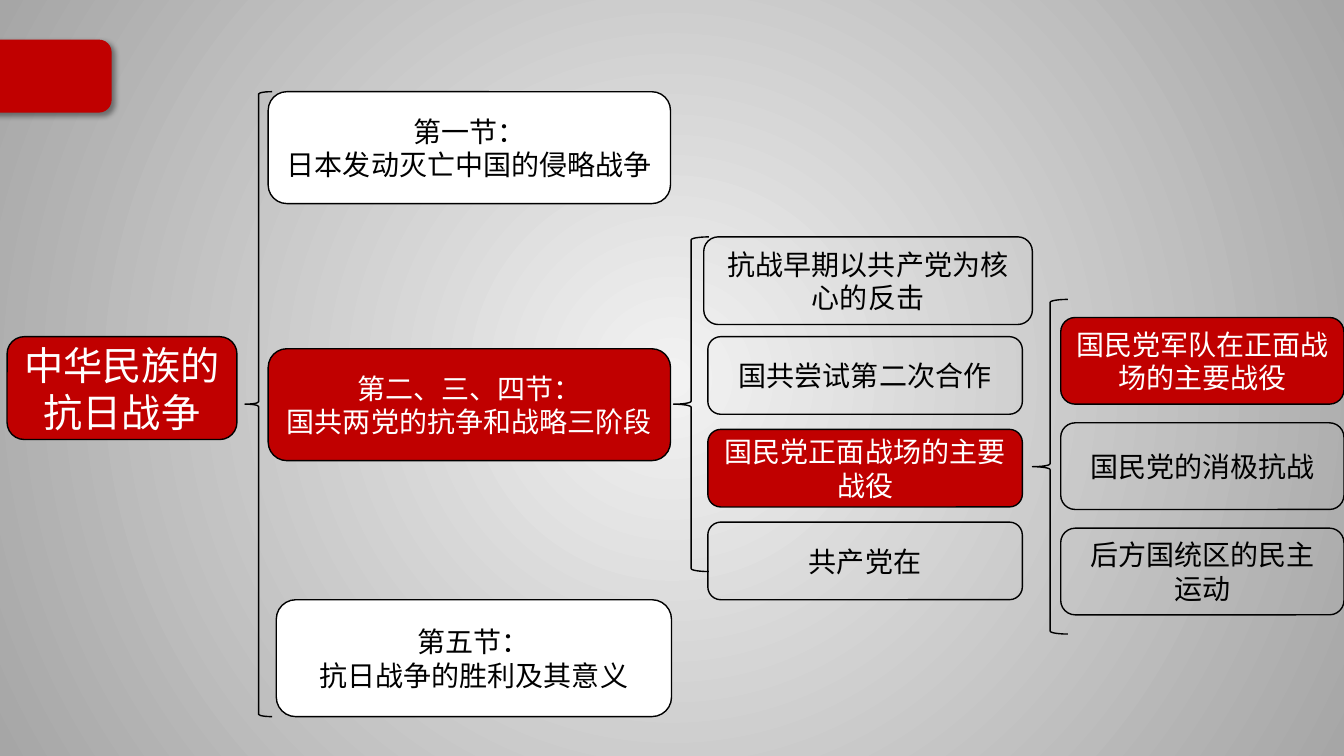
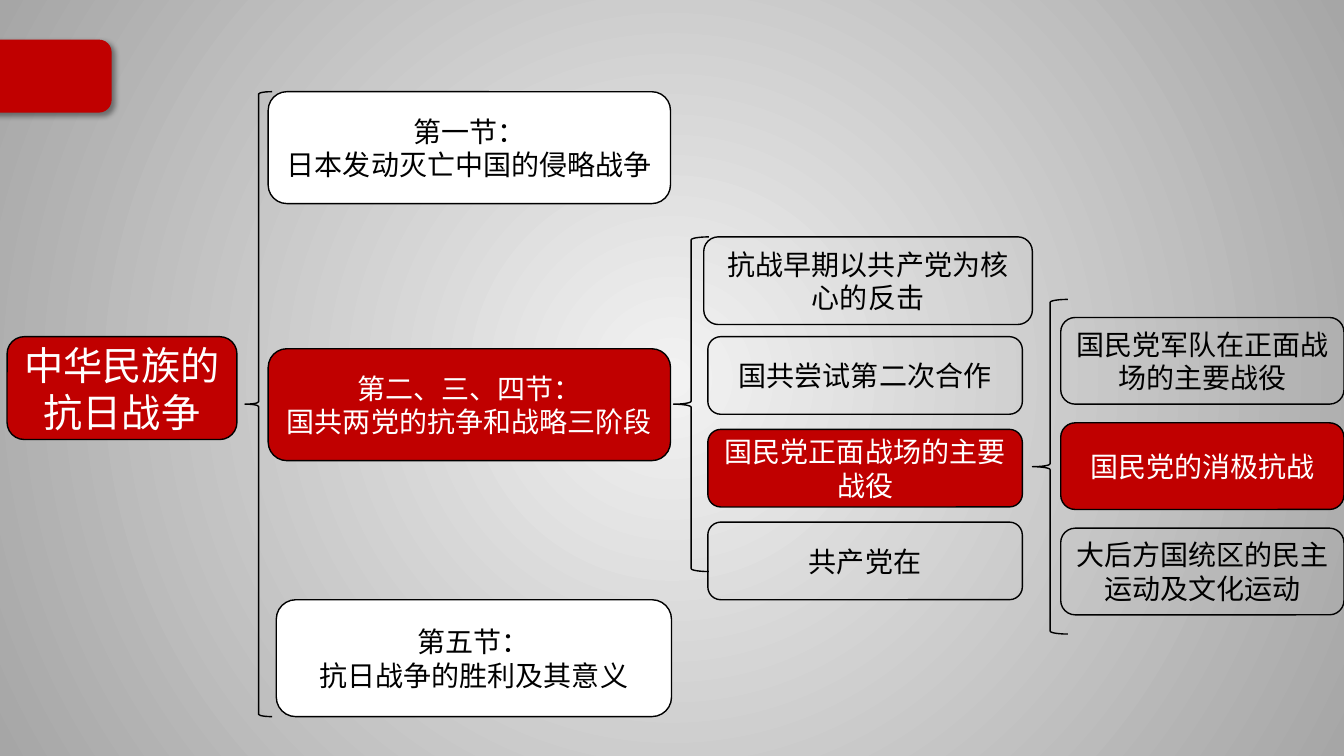
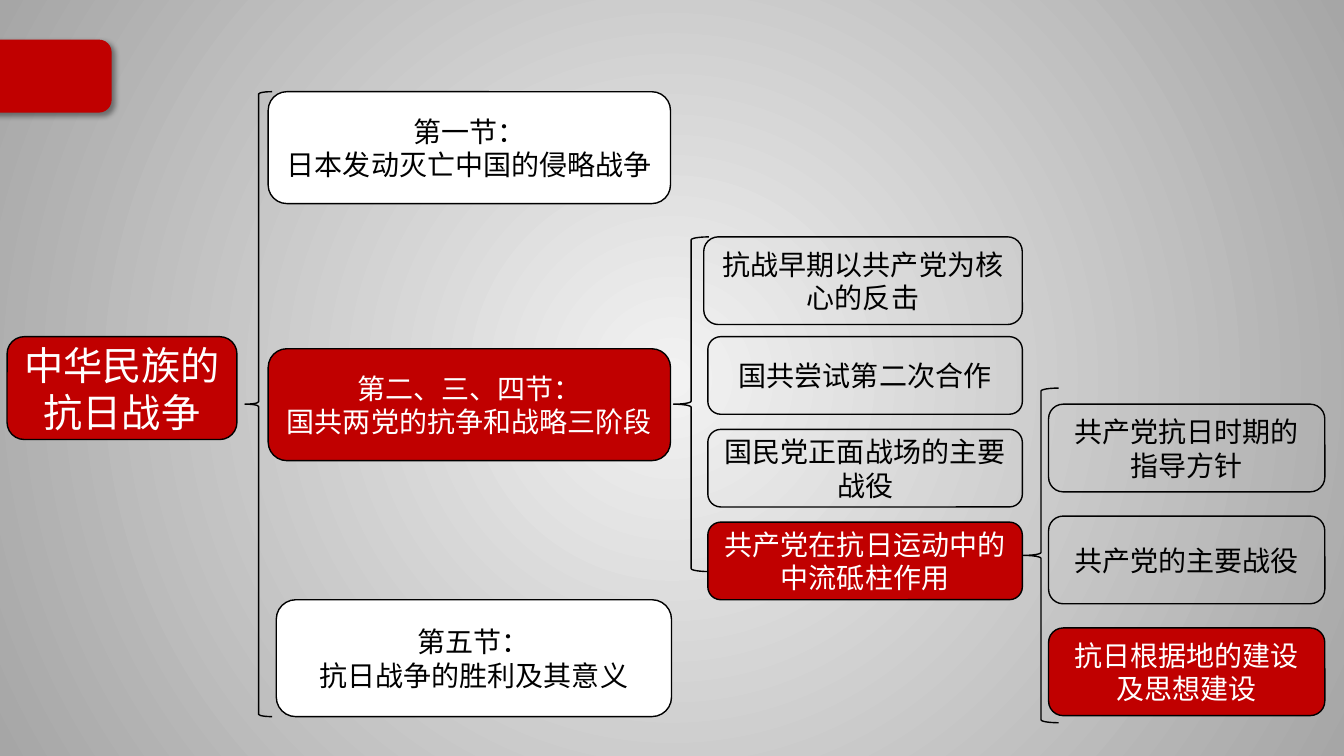
from dataclasses import dataclass

from lxml import etree
from pptx import Presentation
from pptx.dml.color import RGBColor
from pptx.enum.shapes import MSO_SHAPE
from pptx.enum.text import MSO_ANCHOR, PP_ALIGN
from pptx.oxml import parse_xml
from pptx.oxml.ns import nsdecls, qn
from pptx.util import Inches, Pt

ROUNDED = MSO_SHAPE.ROUNDED_RECTANGLE
LEFT_BRACE = MSO_SHAPE.LEFT_BRACE
CENTER = PP_ALIGN.CENTER
MIDDLE = MSO_ANCHOR.MIDDLE
BLANK_LAYOUT = 6


@dataclass(frozen=True)
class Theme:
    red: RGBColor = RGBColor(0xC0, 0x00, 0x00)
    white: RGBColor = RGBColor(0xFF, 0xFF, 0xFF)
    black: RGBColor = RGBColor(0x00, 0x00, 0x00)
    glow: RGBColor = RGBColor(0xF2, 0xF2, 0xF2)
    edge: RGBColor = RGBColor(0xA6, 0xA6, 0xA6)
    font: str = "Noto Sans CJK SC"
    root_size: int = 28
    node_size: int = 20
    line_width: int = 1


@dataclass(frozen=True)
class Branch:
    """The last column of the tree: its brace, its nodes and the active one."""
    brace: tuple
    first_node: tuple
    pitch: float
    texts: tuple
    active: int


THEME = Theme()

# Tree content and geometry: left, top, width, height in inches
ROOT = ("中华民族的抗日战争", (0.07, 3.34, 2.28, 1.02))
SECTIONS = (
    ("第一节：\n日本发动灭亡中国的侵略战争", (2.66, 0.91, 3.99, 1.11), THEME.white),
    ("第二、三、四节：\n国共两党的抗争和战略三阶段", (2.66, 3.46, 3.99, 1.11), THEME.red),
    ("第五节：\n抗日战争的胜利及其意义", (2.74, 5.95, 3.92, 1.16), THEME.white),
)
SECTION_BRACE = (2.43, 0.91, 0.27, 6.2)
TOPIC_BRACE = (6.68, 2.35, 0.35, 3.32)
EARLY_TOPIC = "抗战早期以共产党为核心的反击"
TOPICS = ("国共尝试第二次合作", "国民党正面战场的主要战役")
FIRST_TOPIC = (7.02, 3.34, 3.12, 0.77)
TOPIC_PITCH = 0.92

NATIONALIST_PLACE = dict(brace=(10.24, 2.97, 0.35, 3.32),
                         first_node=(10.52, 3.15, 2.81, 0.86), pitch=1.045)
NATIONALIST_TEXTS = ("国民党军队在正面战场的主要战役", "国民党的消极抗战")
BATTLES = Branch(**NATIONALIST_PLACE, active=0,
                 texts=NATIONALIST_TEXTS + ("后方国统区的民主\n运动",))
PASSIVITY = Branch(**NATIONALIST_PLACE, active=1,
                   texts=NATIONALIST_TEXTS + ("大后方国统区的民主运动及文化运动",))
BASE_AREAS = Branch(brace=(10.15, 3.85, 0.35, 3.32),
                    first_node=(10.4, 4.01, 2.74, 0.87), pitch=1.11, active=2,
                    texts=("共产党抗日时期的指导方针", "共产党的主要战役",
                           "抗日根据地的建设及思想建设"))


def add_outline(slide, preset, place, fill=None, line=THEME.black):
    shape = slide.shapes.add_shape(preset, *map(Inches, place))
    shape.shadow.inherit = False
    if fill is None:
        shape.fill.background()
    else:
        shape.fill.solid()
        shape.fill.fore_color.rgb = fill
    shape.line.color.rgb = line
    shape.line.width = Pt(THEME.line_width)
    return shape


def add_node(slide, text, place, fill=None, size=THEME.node_size):
    frame = add_outline(slide, ROUNDED, place, fill).text_frame
    frame.word_wrap = True
    frame.vertical_anchor = MIDDLE
    for index, line in enumerate(text.split("\n")):
        paragraph = frame.add_paragraph() if index else frame.paragraphs[0]
        paragraph.alignment = CENTER
        run = paragraph.add_run()
        run.text = line
        font = run.font
        font.name = THEME.font
        font.size = Pt(size)
        font.color.rgb = THEME.white if fill == THEME.red else THEME.black
        east_asian = etree.SubElement(run._r.get_or_add_rPr(), qn("a:ea"))
        east_asian.set("typeface", THEME.font)


def add_column(slide, texts, first_place, pitch, active):
    left, top, width, height = first_place
    for row, text in enumerate(texts):
        add_node(slide, text, (left, top + row * pitch, width, height),
                 THEME.red if row == active else None)


def set_master_background(master):
    fill = master.background.fill
    fill.gradient()
    for stop, color in zip(fill.gradient_stops, (THEME.glow, THEME.edge)):
        stop.color.rgb = color
    gradient = master.element.find(".//" + qn("a:gradFill"))
    gradient.replace(gradient.find(qn("a:lin")), parse_xml(
        f'<a:path {nsdecls("a")} path="circle">'
        '<a:fillToRect l="50000" t="50000" r="50000" b="50000"/></a:path>'))


def add_master_tab(master, slide):
    """Draw the red tab, then hand it over to the master."""
    tab = add_outline(slide, ROUNDED, (-0.18, 0.4, 1.28, 0.71),
                      THEME.red, THEME.red)
    effects = tab.element.spPr.find(qn("a:effectLst"))
    effects.append(parse_xml(
        f'<a:outerShdw {nsdecls("a")} blurRad="{Pt(4)}" dist="{Pt(3)}" '
        'dir="2700000" algn="tl" rotWithShape="0">'
        f'<a:srgbClr val="{THEME.black}"><a:alpha val="40000"/></a:srgbClr>'
        '</a:outerShdw>'))
    master.shapes.element.append(tab.element)


def draw_tree(slide, branch, early_width, last_topic, active_topic):
    # Braces lie beneath the nodes
    for place in (SECTION_BRACE, TOPIC_BRACE, branch.brace):
        add_outline(slide, LEFT_BRACE, place)

    # Root and sections
    add_node(slide, *ROOT, THEME.red, THEME.root_size)
    for text, place, fill in SECTIONS:
        add_node(slide, text, place, fill)

    # Topics and the details of the active topic
    add_node(slide, EARLY_TOPIC, (6.98, 2.35, early_width, 0.87))
    add_column(slide, TOPICS + (last_topic,), FIRST_TOPIC, TOPIC_PITCH, active_topic)
    add_column(slide, branch.texts, branch.first_node, branch.pitch, branch.active)


def main():
    deck = Presentation()
    deck.slide_width, deck.slide_height = Inches(13.33), Inches(7.5)
    master = deck.slide_master
    set_master_background(master)

    pages = (
        (BATTLES, 3.26, "共产党在", 1),
        (PASSIVITY, 3.26, "共产党在", 1),
        (BASE_AREAS, 3.16, "共产党在抗日运动中的中流砥柱作用", 2),
    )
    for number, page in enumerate(pages):
        slide = deck.slides.add_slide(deck.slide_layouts[BLANK_LAYOUT])
        if number == 0:
            add_master_tab(master, slide)
        draw_tree(slide, *page)

    deck.save("out.pptx")


if __name__ == "__main__":
    main()
